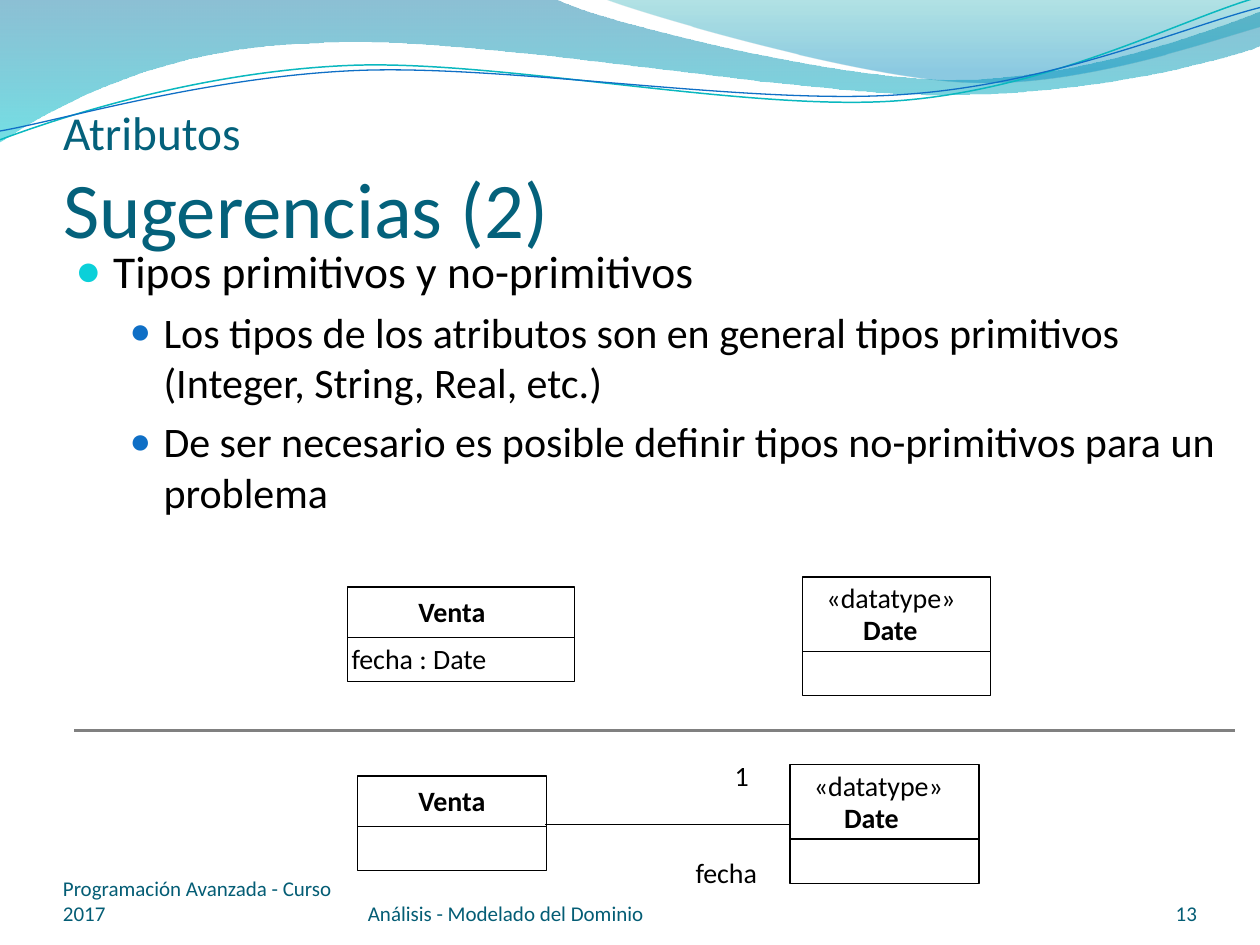
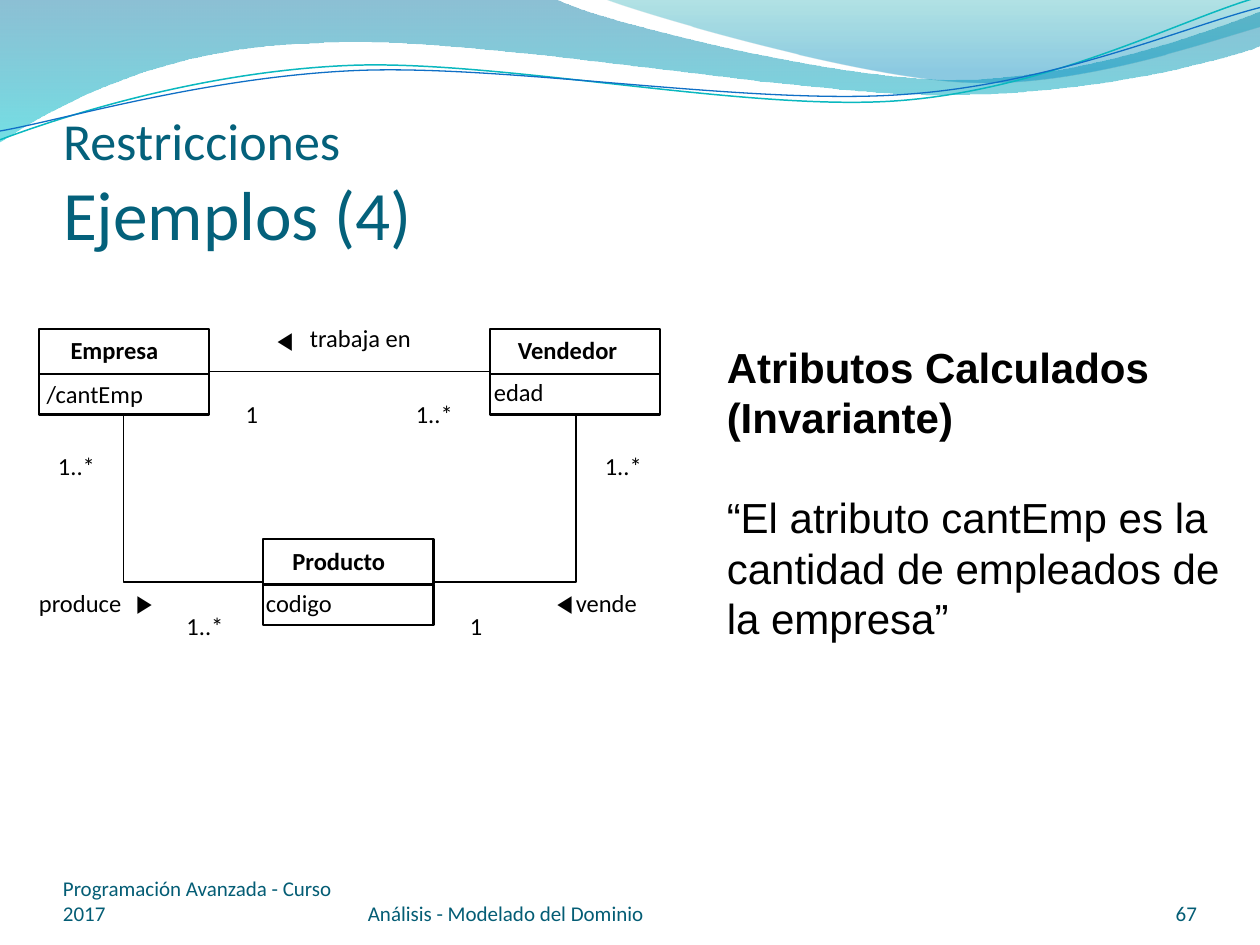
from copy import deepcopy

from lxml import etree
from pptx import Presentation
from pptx import util as u
from pptx.dml.color import RGBColor
from pptx.enum import shapes, text
from pptx.oxml import ns

Inches, Pt = u.Inches, u.Pt
COLORS = {
    "title": "04617B", "footer": "045D75", "ink": "000000", "paper": "FFFFFF",
    "rule": "808080", "aqua": "0BD0D9", "blue": "0F6FC6", "teal_line": "0AB8BF",
    "deep": "0074A1", "cyan": "00C6CF", "green": "00A1A9", "sky": "008BBF",
}
# Wave outlines in inches: a pair is a straight step, six numbers a cubic curve.
WAVE_BANDS = [
    ([(0, 0), (4.4, -0.01), (4.76, 0.17, 6.64, 0.63, 7.58, 0.63),
      (8.53, 0.63, 9.58, 0.26, 10, 0.09), (10.01, 0.36),
      (9.83, 0.44, 8.7, 0.76, 7.46, 0.75), (6.22, 0.75, 3.82, 0.28, 2.57, 0.34),
      (1.29, 0.36, 0.46, 0.83, -0.01, 1.13), (0, 0)],
     [(0, "deep", 45), (1, "cyan", 55)]),
    ([(4.79, -0.01), (5.09, 0.11, 6.82, 0.62, 7.69, 0.65),
      (8.56, 0.69, 9.61, 0.32, 10, 0.21), (10, 0), (4.79, -0.01)],
     [(0, "green", 30), (0.8, "sky", 45)]),
]
WAVE_LINES = [
    ([(0, 1.11), (0.48, 0.93, 1.58, 0.57, 2.77, 0.52),
      (3.95, 0.47, 5.93, 0.89, 7.13, 0.8), (8.33, 0.71, 9.38, 0.15, 9.98, -0.02)],
     "teal_line", 0.85),
    ([(0, 1.04), (0.47, 0.96, 1.64, 0.61, 2.83, 0.56),
      (4.03, 0.51, 5.97, 0.84, 7.17, 0.75), (8.36, 0.67, 9.41, 0.21, 10, 0.06)],
     "blue", 0.75),
]


def rgb(name):
    """Return a palette colour."""
    return RGBColor.from_string(COLORS[name])


def add_xml(parent, tag, **attributes):
    """Append a DrawingML element."""
    return etree.SubElement(parent, ns.qn(tag), attributes)


def style_run(run, size, color="ink", bold=False, font="Calibri"):
    """Set the font of one run."""
    run.font.size, run.font.bold, run.font.name = Pt(size), bold, font
    run.font.color.rgb = rgb(color)


def set_line(line, color, width):
    """Set the colour and width of a line."""
    line.color.rgb = rgb(color)
    line.width = Pt(width)


def bend(outline, steps):
    """Merge the three segments of each cubic step into one curve."""
    segments = iter(list(outline._element.iter(ns.qn("a:lnTo"))))
    for step in steps[1:]:
        first = next(segments)
        if len(step) == 6:
            curve = etree.Element(ns.qn("a:cubicBezTo"))
            first.addprevious(curve)
            for segment in (first, next(segments), next(segments)):
                curve.append(segment[0])
                segment.getparent().remove(segment)


def add_outline(slide, steps, close):
    """Draw a freeform along the steps."""
    points = [(Inches(step[i]), Inches(step[i + 1]))
              for step in steps for i in range(0, len(step), 2)]
    builder = slide.shapes.build_freeform(*points[0])
    builder.add_line_segments(points[1:], close=close)
    outline = builder.convert_to_shape()
    outline.shadow.inherit = False
    bend(outline, steps)
    return outline


def add_path(slide, steps, color, width):
    """Draw an open, unfilled path."""
    path = add_outline(slide, steps, False)
    path.fill.background()
    set_line(path.line, color, width)
    return path


def add_band(slide, steps, stops):
    """Draw a wave band with a translucent gradient from top to bottom."""
    band = add_outline(slide, steps, True)
    band.line.fill.background()
    band.fill.gradient()
    band.fill.gradient_angle = 270
    for stop, (position, color, _) in zip(band.fill.gradient_stops, stops):
        stop.position = position
        stop.color.rgb = rgb(color)
    colors = band._element.spPr.iter(ns.qn("a:srgbClr"))
    for color_xml, (_, _, opacity) in zip(colors, stops):
        add_xml(color_xml, "a:alpha", val=str(opacity * 1000))
    return band


def move_waves_to_master(deck, slide):
    """Draw the waves and put them behind everything on the master."""
    waves = [add_band(slide, *band) for band in WAVE_BANDS]
    waves += [add_path(slide, *line) for line in WAVE_LINES]
    tree = deck.slide_master.shapes._spTree
    for order, wave in enumerate(waves):
        wave._element.nvSpPr.cNvPr.set("id", str(101 + order))
        tree.insert(2 + order, wave._element)


def add_line(slide, start, end, color="ink", width=0):
    """Draw a straight line without theme style or shadow."""
    line = slide.shapes.add_connector(
        shapes.MSO_CONNECTOR.STRAIGHT, *(Inches(v) for v in start + end))
    set_line(line.line, color, width)
    add_xml(line._element.spPr, "a:effectLst")
    line._element.remove(line._element.find(ns.qn("p:style")))


def add_text(slide, box, content, margin=0):
    """Add a wrapping text box and return its frame."""
    frame = slide.shapes.add_textbox(*(Inches(v) for v in box)).text_frame
    frame.word_wrap = True
    if not margin:
        frame.margin_left = frame.margin_right = 0
        frame.margin_top = frame.margin_bottom = 0
    frame.text = content
    return frame


def add_label(slide, left, top, width, content, size, bold=False, font="Calibri"):
    """Add a one-line diagram label."""
    frame = add_text(slide, (left, top, width, size / 50), content)
    frame.word_wrap = False
    frame.auto_size = text.MSO_AUTO_SIZE.SHAPE_TO_FIT_TEXT
    style_run(frame.paragraphs[0].runs[0], size, bold=bold, font=font)


def add_class(slide, left, top, width, heights, line_width):
    """Draw the name and attribute compartments of a UML class."""
    name_height, attribute_height = heights
    for y, height in ((top + name_height, attribute_height), (top, name_height)):
        part = slide.shapes.add_shape(
            shapes.MSO_SHAPE.RECTANGLE, Inches(left), Inches(y), Inches(width), Inches(height))
        part.shadow.inherit = False
        part.fill.solid()
        part.fill.fore_color.rgb = rgb("paper")
        set_line(part.line, "ink", line_width)


def set_title(slide, topic, heading, sizes):
    """Fill the title with a small topic line above the heading."""
    title = slide.shapes.title
    title.left, title.top = Inches(0.5), Inches(0.77)
    title.width, title.height = Inches(9), Inches(1.25)
    frame = title.text_frame
    frame.text = f"{topic}\v{heading}"
    frame.auto_size = text.MSO_AUTO_SIZE.NONE
    frame.vertical_anchor = text.MSO_ANCHOR.BOTTOM
    frame.margin_left = frame.margin_right = frame.margin_bottom = 0
    frame.margin_top = Inches(0.05)
    paragraph = frame.paragraphs[0]
    paragraph.alignment = text.PP_ALIGN.LEFT
    for run, size in zip(paragraph.runs, sizes):
        style_run(run, size, "title")
    line_break = paragraph._p.find(ns.qn("a:br"))
    line_break.append(deepcopy(paragraph.runs[0]._r.rPr))


def add_footers(slide, number):
    """Add course, subject and slide number."""
    for left, width, content in ((0.5, 2.33, "Programación Avanzada - Curso 2017"),
                                 (2.92, 3.67, "Análisis - Modelado del Dominio"),
                                 (8.67, 0.83, str(number))):
        frame = add_text(slide, (left, 6.95, width, 0.4), content)
        frame.vertical_anchor = text.MSO_ANCHOR.BOTTOM
        style_run(frame.paragraphs[0].runs[0], 12, "footer")
    frame.paragraphs[0].alignment = text.PP_ALIGN.RIGHT


def new_slide(deck, topic, heading, sizes):
    """Add a slide with its title."""
    slide = deck.slides.add_slide(deck.slide_layouts[5])
    set_title(slide, topic, heading, sizes)
    return slide


def add_bullets(slide, box, items):
    """Add a bulleted text of (level, wording) items."""
    frame = add_text(slide, box, "\n".join(wording for _, wording in items), margin=1)
    styles = [(26, 0.3, 0.3, "aqua", 95), (24, 0.7, 0.27, "blue", 85)]
    for paragraph, (level, _) in zip(frame.paragraphs, items):
        size, indent, hanging, color, scale = styles[level]
        style_run(paragraph.runs[0], size)
        paragraph.level = level
        if level:
            paragraph.space_before = Pt(5)
        props = paragraph._p.get_or_add_pPr()
        props.set("marL", str(Inches(indent)))
        props.set("indent", str(-Inches(hanging)))
        add_xml(add_xml(props, "a:buClr"), "a:srgbClr", val=COLORS[color])
        add_xml(props, "a:buSzPct", val=str(scale * 1000))
        add_xml(props, "a:buFont", typeface="Arial")
        add_xml(props, "a:buChar", char="●")


def build_suggestions(deck):
    """Build the slide on primitive and non-primitive types."""
    slide = new_slide(deck, "Atributos", "Sugerencias (2)", (27, 45))
    move_waves_to_master(deck, slide)
    add_bullets(slide, (0.5, 1.88, 9.5, 4.82), [
        (0, "Tipos primitivos y no-primitivos"),
        (1, "Los tipos de los atributos son en general tipos primitivos "
            "(Integer, String, Real, etc.)"),
        (1, "De ser necesario es posible definir tipos no-primitivos para un problema"),
    ])
    add_line(slide, (0.59, 5.8), (9.8, 5.8), "rule", 1.5)
    for left, top, width in ((2.76, 4.66, 1.8), (2.84, 6.16, 1.5)):
        add_class(slide, left, top, width, (0.4, 0.35), 0)
        add_label(slide, 3.32, top + 0.06, 0.6, "Venta", 16, bold=True)
    for left, top, width, name_left in ((6.37, 4.58, 1.49, 6.85), (6.27, 6.07, 1.5, 6.7)):
        add_class(slide, left, top, width, (0.59, 0.35), 0)
        add_label(slide, left + 0.19, top + 0.03, 1.2, "«datatype»", 16)
        add_label(slide, name_left, top + 0.28, 0.49, "Date", 16, bold=True)
    add_label(slide, 2.79, 5.09, 1.21, "fecha : Date", 16)
    add_label(slide, 5.52, 6.79, 0.55, "fecha", 16)
    add_label(slide, 5.83, 6.02, 0.23, "1", 16)
    add_line(slide, (6.27, 6.54), (4.33, 6.54))
    add_footers(slide, 13)


def build_constraints(deck):
    """Build the slide on calculated attributes."""
    slide = new_slide(deck, "Restricciones", "Ejemplos (4)", (29.7, 39.6))
    invariant = add_text(
        slide, (5.67, 2.66, 4.33, 2.5),
        "Atributos Calculados\n(Invariante)\n"
        "“El atributo cantEmp es la cantidad de empleados de la empresa”", margin=1)
    for paragraph, bold in zip(invariant.paragraphs, (True, True, False)):
        style_run(paragraph.runs[0], 24, bold=bold, font="Arial")
    paragraph.space_before = Pt(28.5)

    for left, top, name, name_left, name_width in (
            (0.31, 2.61, "Empresa", 0.56, 0.98), (3.89, 2.61, "Vendedor", 4.11, 1.07),
            (2.09, 4.28, "Producto", 2.32, 1.02)):
        add_class(slide, left, top, 1.35, (0.36, 0.32), 1.25)
        add_label(slide, name_left, top + 0.05, name_width, name, 14, bold=True)
    add_line(slide, (1.66, 2.95), (3.89, 2.95), width=0.88)
    add_path(slide, [(0.98, 3.28), (0.98, 4.62), (2.09, 4.62)], "ink", 0.88)
    add_path(slide, [(3.43, 4.62), (4.57, 4.62), (4.57, 3.28)], "ink", 0.88)

    for left, top, width, wording in (
            (0.37, 3.01, 0.82, "/cantEmp"), (3.92, 2.99, 0.56, "edad"),
            (2.11, 4.67, 0.71, "codigo"), (2.46, 2.56, 1.02, "trabaja en"),
            (0.31, 4.67, 0.9, "produce"), (4.57, 4.67, 0.68, "vende")):
        add_label(slide, left, top, width, wording, 14)
    for left, top in ((3.3, 3.17), (0.46, 3.58), (1.48, 4.85), (4.8, 3.58)):
        add_label(slide, left, top, 0.41, "1..*", 14)
    for left, top in ((1.95, 3.17), (3.73, 4.85)):
        add_label(slide, left, top, 0.21, "1", 14)
    for left, top, width, arrow in ((2.2, 2.58, 0.41, "◀"), (1.08, 4.67, 0.27, "▶"),
                                    (4.42, 4.67, 0.27, "◀")):
        add_label(slide, left, top, width, arrow, 14, font="Arial")
    add_footers(slide, 67)


def main():
    """Build and save the deck."""
    deck = Presentation()
    deck.slide_width, deck.slide_height = Inches(10), Inches(7.5)
    build_suggestions(deck)
    build_constraints(deck)
    deck.save("out.pptx")


main()
